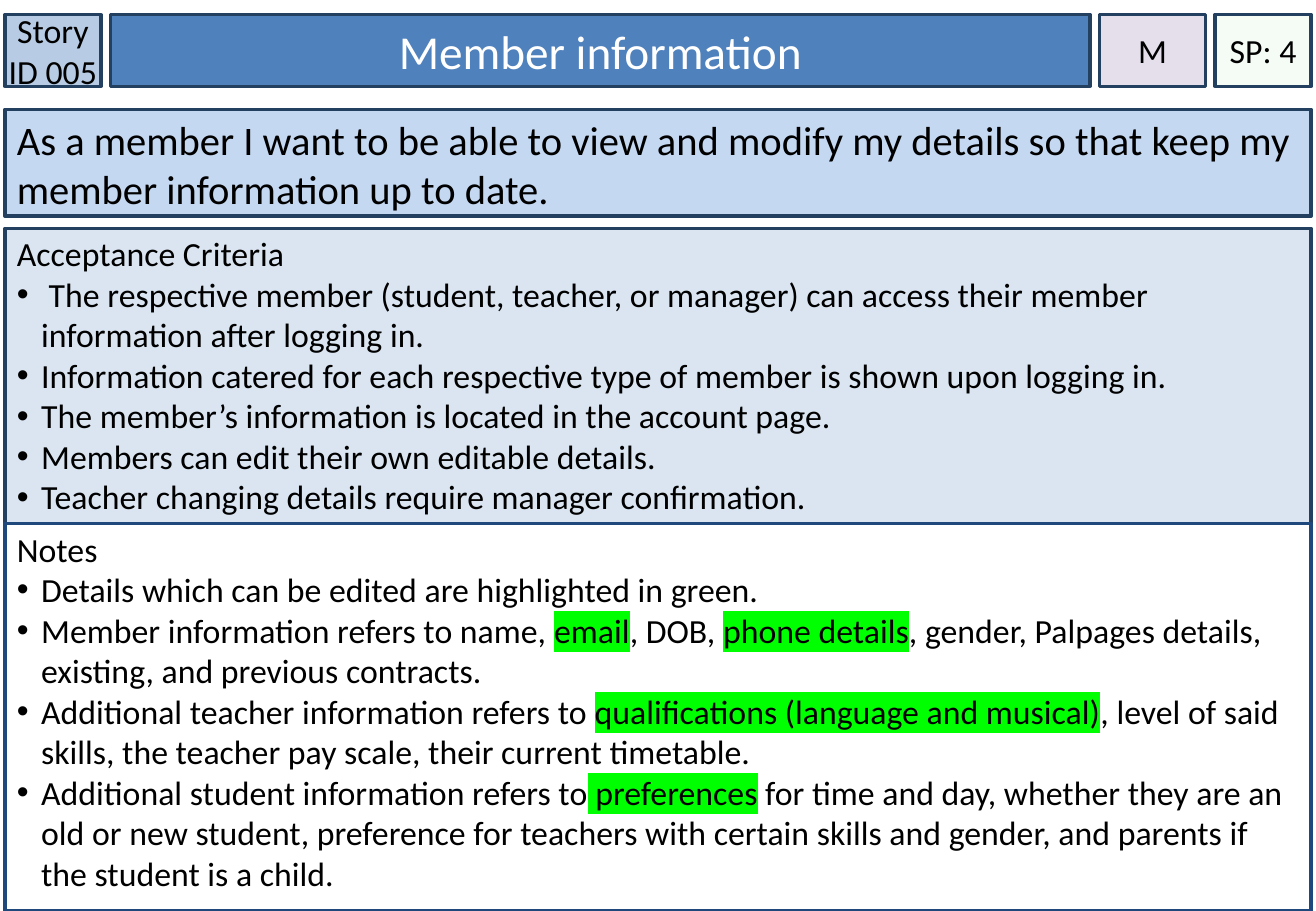
from dataclasses import dataclass

from lxml import etree
from pptx import Presentation
from pptx import util as u
from pptx.dml.color import RGBColor
from pptx.enum import shapes, text
from pptx.oxml import ns


@dataclass(frozen=True)
class Theme:
    font: str = "Calibri"
    title_size: int = 28
    story_size: int = 24
    body_size: int = 20
    ink: str = "000000"
    title_ink: str = "FFFFFF"
    border: str = "244061"
    light_border: str = "1F497D"
    border_width: int = 2
    story_id: str = "B7CCE4"
    title: str = "4F81BD"
    priority: str = "E5DFEC"
    points: str = "CCF0CD"
    points_alpha: int = 20
    story: str = "C5D8F1"
    criteria: str = "DAE5F1"
    details: str = "FFFFFF"
    highlight: str = "00FF00"
    indent: float = 0.2


@dataclass(frozen=True)
class Box:
    left: float
    top: float
    width: float
    height: float


THEME = Theme()
SLIDE_WIDTH, SLIDE_HEIGHT = 10.83, 7.5
MARGIN, GAP = 0.04, 0.08
CONTENT_WIDTH = SLIDE_WIDTH - 2 * MARGIN
ROWS = {"header": (0.12, 0.59), "story": (0.9, 0.88), "criteria": (1.88, 2.43), "details": (4.31, 3.19)}
ID_WIDTH, PRIORITY_WIDTH, POINTS_WIDTH = 0.79, 0.87, 0.79

STORY = (
    "As a member I want to be able to view and modify my details "
    "so that keep my member information up to date."
)
CRITERIA = [
    " The respective member (student, teacher, or manager) can access their member information after logging in.",
    "Information catered for each respective type of member is shown upon logging in.",
    "The member’s information is located in the account page.",
    "Members can edit their own editable details.",
    "Teacher changing details require manager confirmation.",
]
DETAILS = [
    "Details which can be edited are highlighted in green.",
    "Member information refers to name, |email|, DOB, |phone details|, gender, Palpages details, "
    "existing, and previous contracts.",
    "Additional teacher information refers to |qualifications (language and musical)|, level of said skills, "
    "the teacher pay scale, their current timetable.",
    "Additional student information refers to| preferences| for time and day, whether they are an old or new "
    "student, preference for teachers with certain skills and gender, and parents if the student is a child.",
]


def add_color(parent, tag, color):
    holder = etree.SubElement(parent, ns.qn(tag))
    etree.SubElement(holder, ns.qn("a:srgbClr"), val=color)


def add_bullet(paragraph):
    properties = paragraph._p.get_or_add_pPr()
    indent = u.Inches(THEME.indent)
    properties.set("marL", str(indent))
    properties.set("indent", str(-indent))
    etree.SubElement(properties, ns.qn("a:buFont"), typeface="Arial")
    etree.SubElement(properties, ns.qn("a:buChar"), char="•")


def write(paragraph, content, size, color, align):
    paragraph.alignment = align
    paragraph.font.name = THEME.font
    paragraph.font.size = u.Pt(size)
    paragraph.font.color.rgb = RGBColor.from_string(color)
    for index, part in enumerate(content.split("|")):
        run = paragraph.add_run()
        run.text = part
        if index % 2:
            add_color(run._r.get_or_add_rPr(), "a:highlight", THEME.highlight)


def add_panel(slide, box, fill, border=THEME.border, inset=0.1, top_inset=0.05, shape=None):
    if shape is None:
        shape = slide.shapes.add_shape(shapes.MSO_SHAPE.RECTANGLE, 0, 0, 0, 0)
        shape.shadow.inherit = False
    shape.left, shape.top = u.Inches(box.left), u.Inches(box.top)
    shape.width, shape.height = u.Inches(box.width), u.Inches(box.height)
    shape.fill.solid()
    shape.fill.fore_color.rgb = RGBColor.from_string(fill)
    shape.line.color.rgb = RGBColor.from_string(border)
    shape.line.width = u.Pt(THEME.border_width)
    frame = shape.text_frame
    frame.word_wrap = True
    frame.auto_size = text.MSO_AUTO_SIZE.NONE
    frame.vertical_anchor = text.MSO_ANCHOR.TOP
    frame.margin_left = frame.margin_right = u.Inches(inset)
    frame.margin_top, frame.margin_bottom = u.Inches(top_inset), u.Inches(0.05)
    return shape


def add_header_cell(slide, box, content, fill, size=THEME.body_size, color=THEME.ink, inset=0, shape=None):
    panel = add_panel(slide, box, fill, inset=inset, shape=shape)
    panel.text_frame.vertical_anchor = text.MSO_ANCHOR.MIDDLE
    write(panel.text_frame.paragraphs[0], content, size, color, text.PP_ALIGN.CENTER)
    return panel


def add_header(slide, box):
    title_width = box.width - ID_WIDTH - PRIORITY_WIDTH - POINTS_WIDTH - 3 * GAP
    cells = []
    left = box.left
    for width in (ID_WIDTH, title_width, PRIORITY_WIDTH, POINTS_WIDTH):
        cells.append(Box(left, box.top, width, box.height))
        left += width + GAP
    id_box, title_box, priority_box, points_box = cells
    add_header_cell(slide, id_box, "Story ID 005", THEME.story_id)
    add_header_cell(slide, title_box, "Member information", THEME.title, THEME.title_size,
                    THEME.title_ink, 0.1, slide.shapes.title)
    add_header_cell(slide, priority_box, "M", THEME.priority)
    points = add_header_cell(slide, points_box, "SP: 4", THEME.points)
    color = points._element.spPr.find(ns.qn("a:solidFill")).find(ns.qn("a:srgbClr"))
    etree.SubElement(color, ns.qn("a:alpha"), val=str(THEME.points_alpha * 1000))


def add_story(slide, box):
    panel = add_panel(slide, box, THEME.story)
    write(panel.text_frame.paragraphs[0], STORY, THEME.story_size, THEME.ink, text.PP_ALIGN.LEFT)


def add_list(slide, box, heading, items, fill, border):
    frame = add_panel(slide, box, fill, border, top_inset=0.04).text_frame
    write(frame.paragraphs[0], heading, THEME.body_size, THEME.ink, text.PP_ALIGN.LEFT)
    for item in items:
        paragraph = frame.add_paragraph()
        add_bullet(paragraph)
        write(paragraph, item, THEME.body_size, THEME.ink, text.PP_ALIGN.LEFT)


def main():
    presentation = Presentation()
    presentation.slide_width = u.Inches(SLIDE_WIDTH)
    presentation.slide_height = u.Inches(SLIDE_HEIGHT)
    slide = presentation.slides.add_slide(presentation.slide_layouts[5])
    boxes = {name: Box(MARGIN, top, CONTENT_WIDTH, height) for name, (top, height) in ROWS.items()}
    add_header(slide, boxes["header"])
    add_story(slide, boxes["story"])
    add_list(slide, boxes["criteria"], "Acceptance Criteria", CRITERIA, THEME.criteria, THEME.border)
    add_list(slide, boxes["details"], "Notes", DETAILS, THEME.details, THEME.light_border)
    presentation.save("out.pptx")


if __name__ == "__main__":
    main()
